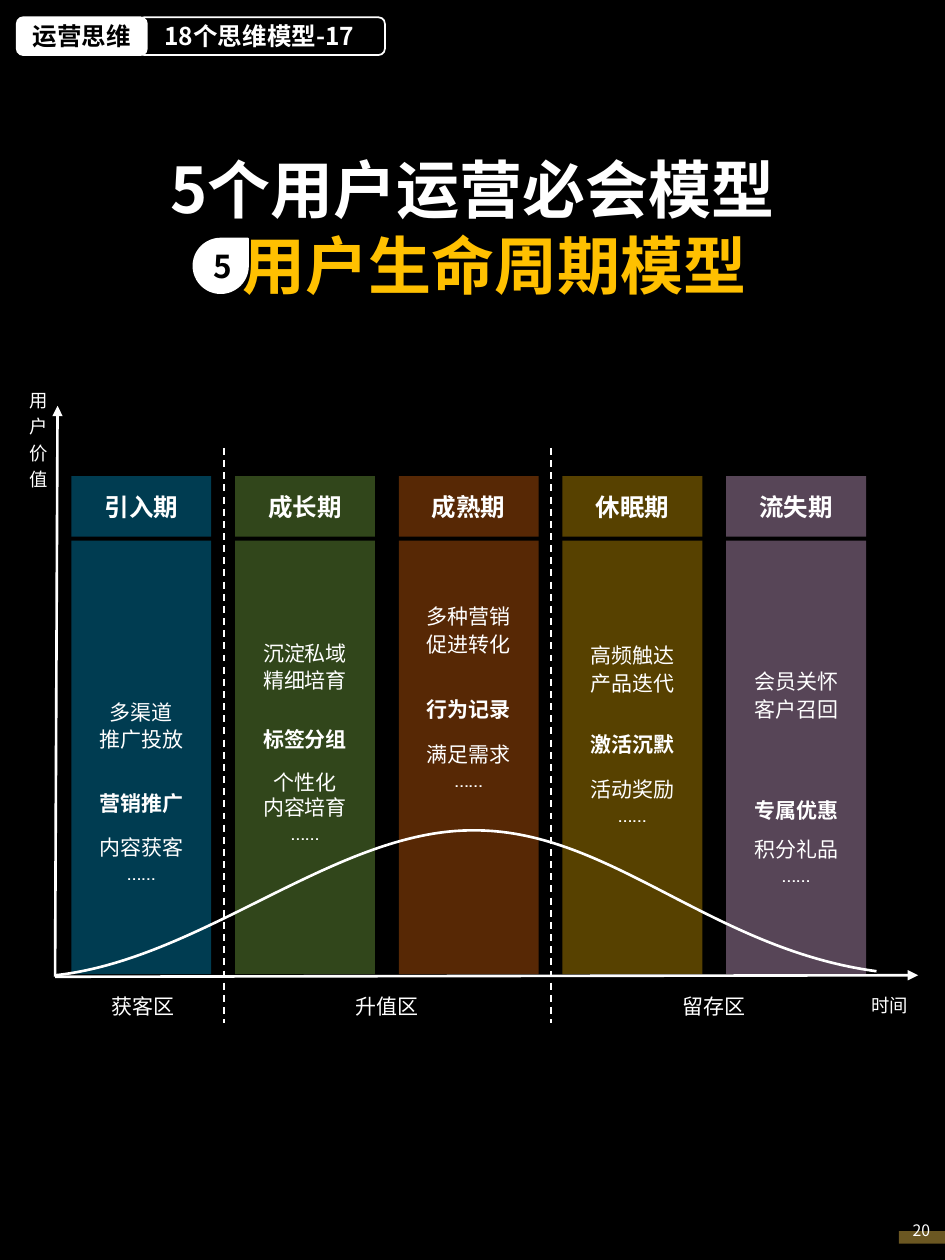
import dataclasses
import lxml.etree
import pptx
import pptx.dml.color
import pptx.enum.dml
import pptx.enum.shapes
import pptx.enum.text
import pptx.oxml
import pptx.oxml.ns
import pptx.util

Cm = pptx.util.Cm
Kind = pptx.enum.shapes.MSO_SHAPE
Align = pptx.enum.text.PP_ALIGN
Anchor = pptx.enum.text.MSO_ANCHOR
qn = pptx.oxml.ns.qn


@dataclasses.dataclass(frozen=True)
class Theme:
    """Colours, fonts and type sizes of the deck."""
    ground: str = "000000"
    ink: str = "FFFFFF"
    accent: str = "FFC000"
    footer: str = "6B5722"
    font: str = "Noto Sans CJK SC"
    light_font: str = "Cabin"
    title: float = 36
    badge: float = 18
    heading: float = 14
    text: float = 12
    small: float = 10.5
    number: float = 9
    hairline: float = 1
    stroke: float = 1.5
    opacity: int = 34


@dataclasses.dataclass(frozen=True)
class Box:
    """A rectangle in centimetres."""
    left: float
    top: float
    width: float
    height: float

    def inner(self, left, top, width, height):
        """Return a rectangle placed relative to this one."""
        return Box(self.left + left, self.top + top, width, height)

    def lengths(self):
        """Return left, top, width and height as slide lengths."""
        return [Cm(value) for value in (self.left, self.top, self.width, self.height)]


@dataclasses.dataclass(frozen=True)
class Stage:
    """One phase of the life cycle and the tops of its three notes."""
    name: str
    colour: str
    lead: tuple
    focus: str
    tail: tuple
    tops: tuple


THEME = Theme()
STAGES = (
    Stage("引入期", "00B0F0", ("多渠道", "推广投放"), "营销推广", ("内容获客", "……"), (4.32, 6.17, 7.09)),
    Stage("成长期", "92D050", ("沉淀私域", "精细培育"), "标签分组", ("个性化", "内容培育", "……"), (3.13, 4.88, 5.79)),
    Stage("成熟期", "FF7811", ("多种营销", "促进转化"), "行为记录", ("满足需求", "……"), (2.39, 4.27, 5.23)),
    Stage("休眠期", "FFC000", ("高频触达", "产品迭代"), "激活沉默", ("活动奖励", "……"), (3.18, 4.98, 5.92)),
    Stage("流失期", "FFCCFF", ("会员关怀", "客户召回"), "专属优惠", ("积分礼品", "……"), (3.71, 6.3, 7.14)),
)


def rgb(colour):
    """Return a colour object for a hex string."""
    return pptx.dml.color.RGBColor.from_string(colour)


def write(shape, lines, size, colour=THEME.ink, bold=False, font=THEME.font,
          align=Align.CENTER, spacing=None):
    """Fill a shape with paragraphs of one format."""
    frame = shape.text_frame
    frame.word_wrap = True
    frame.text = "\n".join(lines)
    for para in frame.paragraphs:
        para.alignment = align
        para.line_spacing = spacing
        para.font.size = pptx.util.Pt(size)
        para.font.bold = bold
        para.font.name = font
        para.font.color.rgb = rgb(colour)


def add_label(page, box, lines, size=THEME.text, **style):
    """Add a text box."""
    label = page.shapes.add_textbox(*box.lengths())
    write(label, lines, size, **style)
    return label


def add_block(page, box, kind=Kind.RECTANGLE, fill=None, line=None, opacity=None):
    """Add a preset shape with an optional fill, outline and opacity."""
    block = page.shapes.add_shape(kind, *box.lengths())
    block.shadow.inherit = False
    block.text_frame.vertical_anchor = Anchor.MIDDLE
    if fill:
        block.fill.solid()
        block.fill.fore_color.rgb = rgb(fill)
    else:
        block.fill.background()
    if line:
        block.line.color.rgb = rgb(line)
        block.line.width = pptx.util.Pt(THEME.hairline)
    else:
        block.line.fill.background()
    if opacity:
        colour = block.fill._xPr.find(".//" + qn("a:srgbClr"))
        lxml.etree.SubElement(colour, qn("a:alpha")).set("val", str(opacity * 1000))
    return block


def add_line(page, start, end, width, dashed=False, arrow=False):
    """Add a straight line, dashed or with an arrowhead at its end."""
    line = page.shapes.add_connector(pptx.enum.shapes.MSO_CONNECTOR.STRAIGHT,
                                     *[Cm(value) for value in start + end])
    line.line.color.rgb = rgb(THEME.ink)
    line.line.width = pptx.util.Pt(width)
    if dashed:
        line.line.dash_style = pptx.enum.dml.MSO_LINE.DASH
    if arrow:
        lxml.etree.SubElement(line.line._get_or_add_ln(), qn("a:tailEnd")).set("type", "triangle")
    lxml.etree.SubElement(line._element.spPr, qn("a:effectLst"))


def add_curve(page, points):
    """Add an open curve from a start point and triples of cubic Bézier points."""
    lengths = [(Cm(left), Cm(top)) for left, top in points]
    builder = page.shapes.build_freeform(*lengths[0])
    builder.add_line_segments(lengths[1:], close=False)
    curve = builder.convert_to_shape()
    curve.shadow.inherit = False
    curve.fill.background()
    curve.line.color.rgb = rgb(THEME.ink)
    curve.line.width = pptx.util.Pt(THEME.stroke)
    for index, segment in enumerate(curve._element.findall(".//" + qn("a:lnTo"))):
        if index % 3 == 0:
            bend = lxml.etree.Element(qn("a:cubicBezTo"))
            segment.addprevious(bend)
        bend.append(segment[0])
        segment.getparent().remove(segment)


def add_header(page, box):
    """Place the topic tag and the series name."""
    series = add_block(page, box.inner(2.44, 0, 4.98, box.height), Kind.ROUNDED_RECTANGLE, line=THEME.ink)
    series.text_frame.margin_left = Cm(0.5)
    write(series, ["18个思维模型-17"], THEME.heading, bold=True, align=Align.LEFT)
    topic = add_block(page, box.inner(0, 0, 2.62, box.height), Kind.ROUNDED_RECTANGLE, THEME.ink, THEME.ink)
    write(topic, ["运营思维"], THEME.heading, THEME.ground, bold=True)


def add_title(page, box):
    """Place the two-line title and its numbered drop."""
    title = page.shapes.title
    title.left, title.top, title.width, title.height = box.lengths()
    title.text_frame.vertical_anchor = Anchor.TOP
    title.text_frame.auto_size = pptx.enum.text.MSO_AUTO_SIZE.NONE
    write(title, ["5个用户运营必会模型", "用户生命周期模型"], THEME.title, bold=True, spacing=1.0)
    model = title.text_frame.paragraphs[1]
    model.font.color.rgb = rgb(THEME.accent)
    model._p.get_or_add_pPr().set("marL", str(Cm(0.86)))
    drop = add_block(page, box.inner(0.9, 1.9, 1.1, 1.1), Kind.TEAR, THEME.ink, THEME.ink)
    write(drop, ["5"], THEME.badge, THEME.ground, bold=True)


def add_stage(page, box, stage):
    """Place one phase: heading, column and three notes."""
    heading = add_block(page, box.inner(0, 0, box.width, 1.22), fill=stage.colour, opacity=THEME.opacity)
    write(heading, [stage.name], THEME.heading, bold=True)
    column = box.inner(0, 1.3, box.width, box.height - 1.3)
    add_block(page, column, fill=stage.colour, opacity=THEME.opacity)
    lead, focus, tail = [box.inner(0, top, box.width, 1.3) for top in stage.tops]
    add_label(page, lead, stage.lead, font=THEME.light_font, spacing=1.1)
    add_label(page, focus, [stage.focus], bold=True, spacing=1.1)
    add_label(page, tail, stage.tail, font=THEME.light_font)


def add_chart_area(page, box):
    """Place the phases, zones, axes and value curve."""
    left, base = box.left, box.top + 11.48
    for index, stage in enumerate(STAGES):
        add_stage(page, box.inner(0.33 + 3.3 * index, 1.42, 2.82, 10.04), stage)
    for offset in (3.41, 10):
        add_line(page, (left + offset, box.top + 0.85), (left + offset, box.top + box.height),
                 THEME.hairline, dashed=True)
    add_line(page, (left, base + 0.03), (left + 0.05, box.top), THEME.stroke, arrow=True)
    add_line(page, (left, base + 0.03), (left + box.width, base), THEME.stroke, arrow=True)
    bends = ((0.02, 0), (2.97, -0.33), (5.66, -2.92), (8.41, -2.92),
             (11.17, -2.95), (13.21, -0.53), (16.56, -0.08))
    add_curve(page, [(left + across, base + rise) for across, rise in bends])
    for name, offset in (("获客区", 0.46), ("升值区", 5.39), ("留存区", 11.97)):
        add_label(page, box.inner(offset, 11.62, 2.62, 0.86), [name], spacing=1.2)
    add_label(page, box.inner(15.51, 11.64, 2.62, 0.76), ["时间"], THEME.small, spacing=1.2)
    add_label(page, box.inner(-0.77, -0.55, 1.07, 2.41), ["用户价值"], THEME.small,
              align=Align.LEFT, spacing=1.2)


def add_footer(page, box):
    """Place the page number over its bar."""
    add_block(page, box.inner(0, 0.33, box.width, 0.25), fill=THEME.footer)
    add_label(page, box.inner(0.03, 0, 0.91, box.height), ["20"], THEME.number, align=Align.LEFT)


def main():
    """Build and save the deck."""
    deck = pptx.Presentation()
    deck.slide_width, deck.slide_height = Cm(19.05), Cm(25.4)
    page = deck.slides.add_slide(deck.slide_layouts[5])
    page.background.fill.solid()
    page.background.fill.fore_color.rgb = rgb(THEME.ground)
    add_chart_area(page, Box(1.11, 8.18, 17.4, 12.45))
    add_title(page, Box(3, 2.91, 13.06, 3.33))
    add_header(page, Box(0.34, 0.35, 7.42, 0.76))
    add_footer(page, Box(18.12, 24.49, 0.93, 0.64))
    deck.save("out.pptx")


if __name__ == "__main__":
    main()
